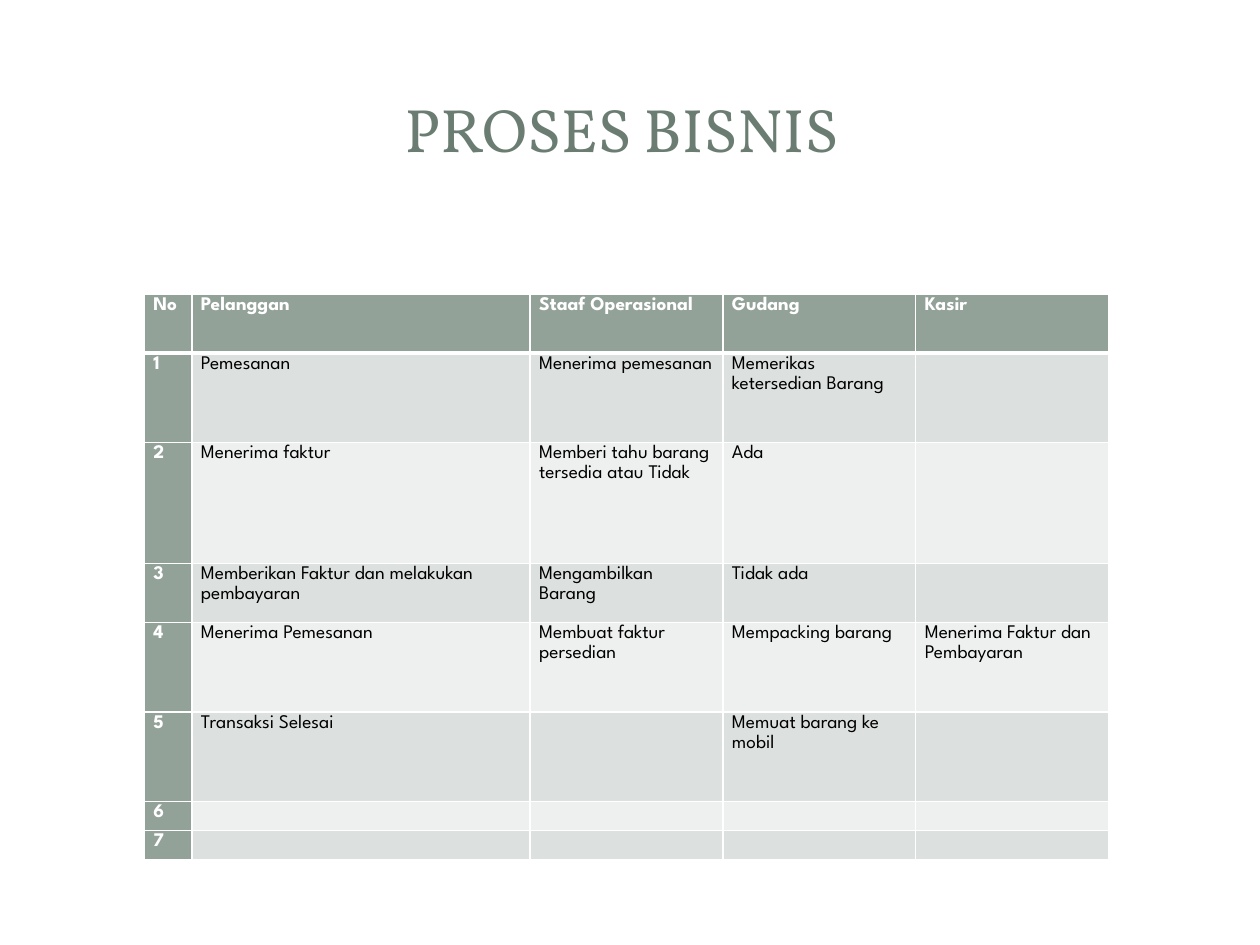
from dataclasses import dataclass

from lxml import etree
from pptx import Presentation
from pptx.dml.color import RGBColor
from pptx.enum import shapes, text
from pptx.oxml import ns
from pptx.util import Pt


@dataclass(frozen=True)
class Theme:
    title_font: str = "Vollkorn"
    body_font: str = "League Spartan"
    title_size: int = 35
    body_size: int = 11
    title: str = "6B7D72"
    accent: str = "93A299"
    odd_row: str = "DCE0DE"
    even_row: str = "EEF0EF"
    white: str = "FFFFFF"
    black: str = "000000"


THEME = Theme()

ROWS = [
    ("No", "Pelanggan", "Staaf Operasional", "Gudang", "Kasir"),
    ("1", "Pemesanan", "Menerima pemesanan", "Memerikas ketersedian Barang", ""),
    ("2", "Menerima faktur", "Memberi tahu barang tersedia atau Tidak", "Ada", ""),
    ("3", "Memberikan Faktur dan melakukan pembayaran", "Mengambilkan Barang",
     "Tidak ada", ""),
    ("4", "Menerima Pemesanan", "Membuat faktur persedian", "Mempacking barang",
     "Menerima Faktur dan Pembayaran"),
    ("5", "Transaksi Selesai", "", "Memuat barang ke mobil", ""),
    ("6", "", "", "", ""),
    ("7", "", "", "", ""),
]
COLUMN_WIDTHS = [27.2, 193.3, 110.2, 110.2, 110.2]
ROW_HEIGHTS = [33.8, 51.1, 69, 33.8, 51.2, 51.2, 16.5, 16.5]


def add_panel(page, kind, left, top, width, height, opacity=100):
    panel = page.shapes.add_shape(kind, Pt(left), Pt(top), Pt(width), Pt(height))
    panel.shadow.inherit = False
    panel.line.fill.background()
    panel.fill.solid()
    panel.fill.fore_color.rgb = RGBColor.from_string(THEME.white)
    if opacity < 100:
        color = panel._element.spPr.find(".//" + ns.qn("a:srgbClr"))
        etree.SubElement(color, ns.qn("a:alpha"), val=str(opacity * 1000))
    return panel


def add_backdrop(page):
    sheet = add_panel(page, shapes.MSO_SHAPE.ROUNDED_RECTANGLE,
                      7.2, 7.8, 705.6, 525)
    sheet.adjustments[0] = 0.017
    add_panel(page, shapes.MSO_SHAPE.RECTANGLE, 21.6, 21.6, 676.8, 104.4, 83)
    add_panel(page, shapes.MSO_SHAPE.RECTANGLE, 29.5, 29.5, 660.5, 88)


def style_span(span, font, size, color, bold=False):
    span.font.name = font
    span.font.size = Pt(size)
    span.font.bold = bold
    span.font.color.rgb = RGBColor.from_string(color)


def add_title(page, words):
    box = page.shapes.add_textbox(Pt(33.8), Pt(32.4), Pt(650), Pt(82))
    frame = box.text_frame
    frame.word_wrap = True
    frame.vertical_anchor = text.MSO_ANCHOR.MIDDLE
    frame.text = words
    para = frame.paragraphs[0]
    para.alignment = text.PP_ALIGN.CENTER
    style_span(para.runs[0], THEME.title_font, THEME.title_size, THEME.title)


def set_borders(cell, bottom_width):
    """Draw white cell edges; they must come before the fill in the XML."""
    properties = cell._tc.get_or_add_tcPr()
    widths = {"a:lnL": 1, "a:lnR": 1, "a:lnT": 1, "a:lnB": bottom_width}
    for position, (tag, width) in enumerate(widths.items()):
        line = etree.Element(ns.qn(tag), w=str(Pt(width)))
        fill = etree.SubElement(line, ns.qn("a:solidFill"))
        etree.SubElement(fill, ns.qn("a:srgbClr"), val=THEME.white)
        properties.insert(position, line)


def fill_cell(cell, words, fill, color, bold, bottom_width):
    cell.margin_left = cell.margin_right = Pt(5.2)
    cell.margin_top = cell.margin_bottom = 0
    cell.fill.solid()
    cell.fill.fore_color.rgb = RGBColor.from_string(fill)
    set_borders(cell, bottom_width)
    cell.text_frame.text = words
    para = cell.text_frame.paragraphs[0]
    para.line_spacing = 1.15
    for span in para.runs:
        style_span(span, THEME.body_font, THEME.body_size, color, bold)
    if not words:
        # An empty cell needs its own type size, or the row grows.
        etree.SubElement(para._p, ns.qn("a:endParaRPr"),
                         sz=str(THEME.body_size * 100))


def add_process_table(page):
    frame = page.shapes.add_table(
        len(ROWS), len(COLUMN_WIDTHS), Pt(82.4), Pt(168),
        Pt(sum(COLUMN_WIDTHS)), Pt(sum(ROW_HEIGHTS)))
    table = frame.table
    for column, width in zip(table.columns, COLUMN_WIDTHS):
        column.width = Pt(width)
    for row, height in zip(table.rows, ROW_HEIGHTS):
        row.height = Pt(height)
    for r, row in enumerate(ROWS):
        band = THEME.odd_row if r % 2 else THEME.even_row
        for c, words in enumerate(row):
            heading = r == 0 or c == 0
            fill_cell(table.cell(r, c), words,
                      fill=THEME.accent if heading else band,
                      color=THEME.white if heading else THEME.black,
                      bold=heading,
                      bottom_width=3 if r == 0 else 1)


def main():
    deck = Presentation()
    deck.slide_width, deck.slide_height = Pt(720), Pt(540)
    page = deck.slides.add_slide(deck.slide_layouts[6])
    add_backdrop(page)
    add_title(page, "PROSES BISNIS ")
    add_process_table(page)
    deck.save("out.pptx")


if __name__ == "__main__":
    main()
